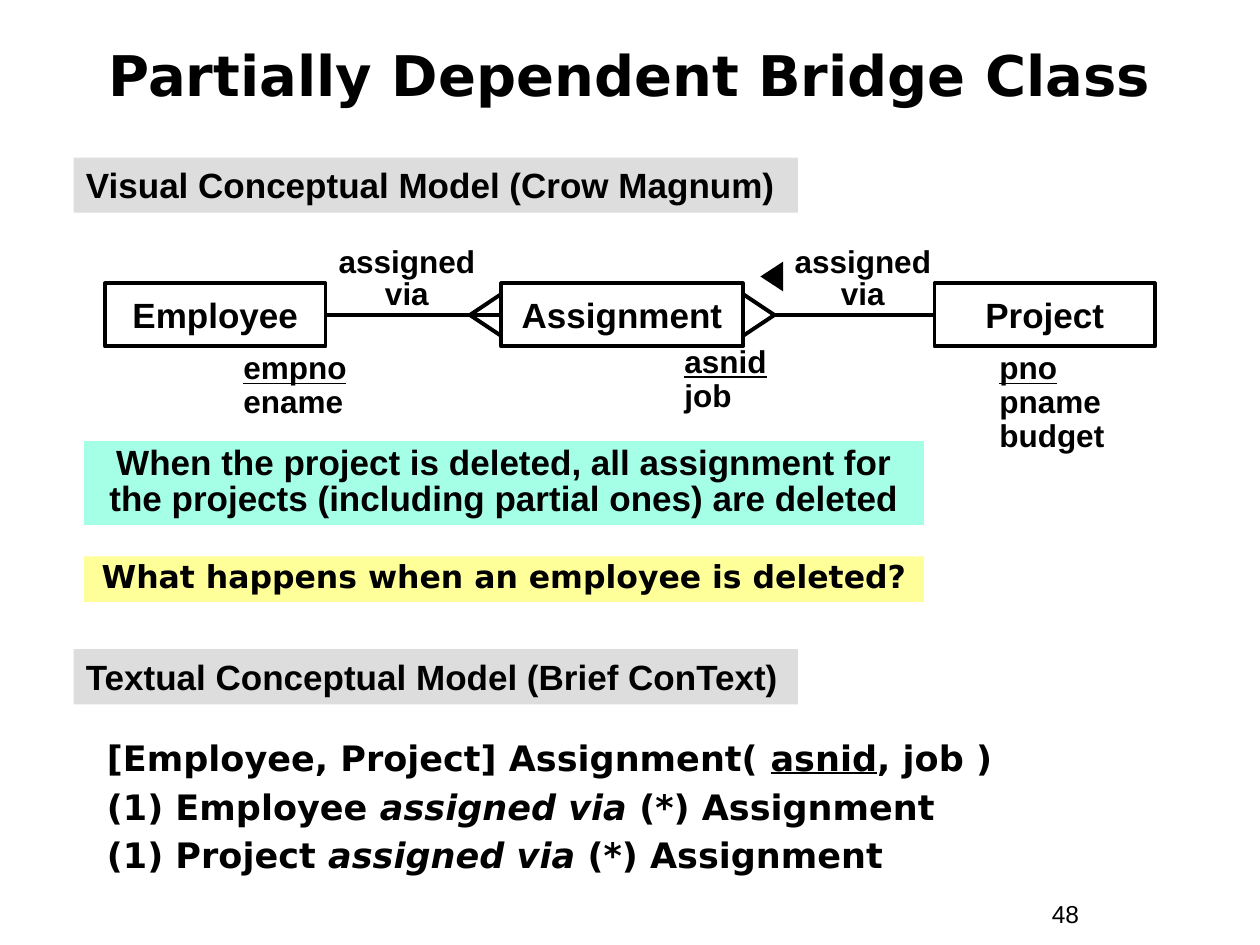
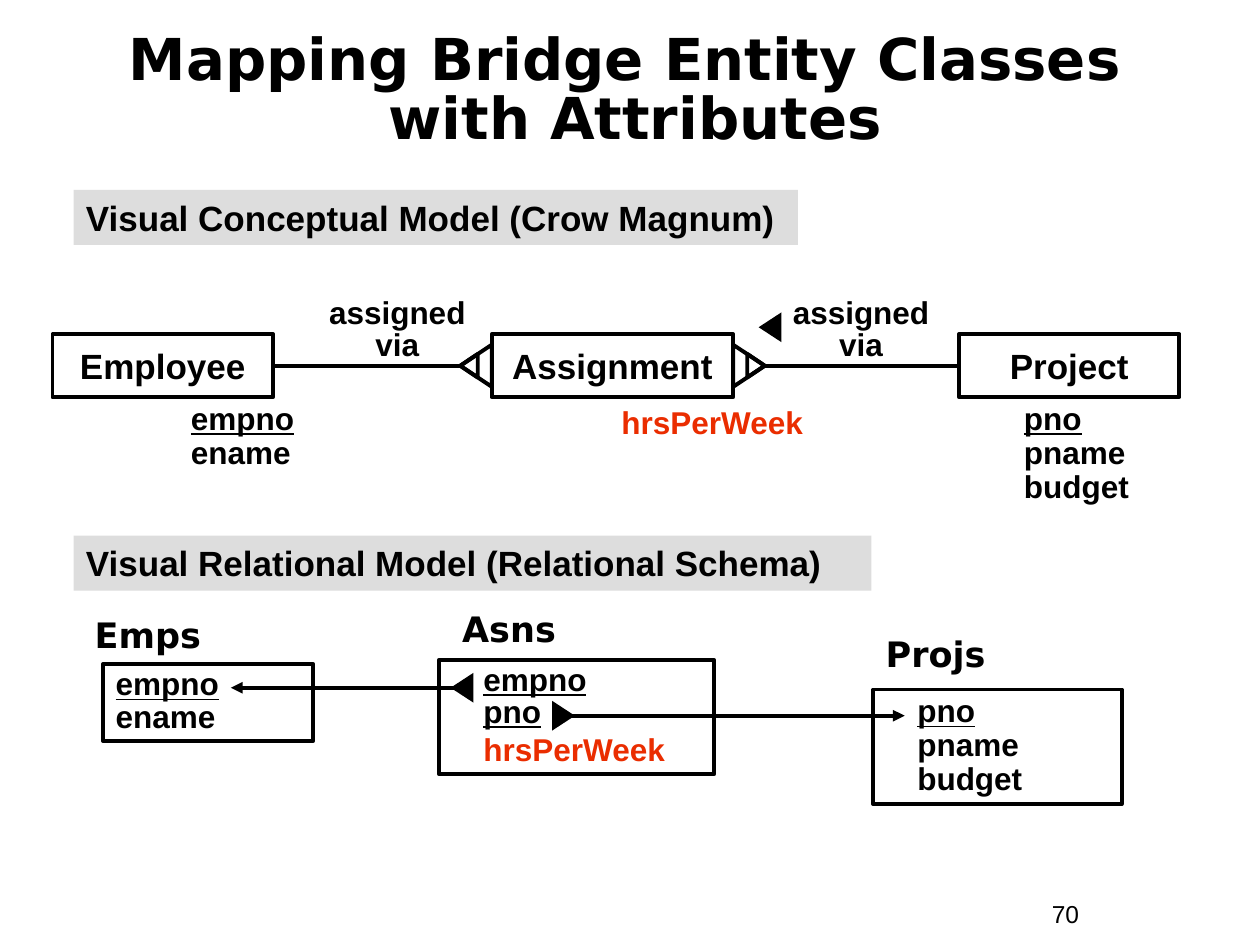
from dataclasses import dataclass

from lxml.etree import SubElement
from pptx import Presentation
from pptx.dml.color import RGBColor
from pptx.enum.shapes import MSO_CONNECTOR as Link, MSO_SHAPE as Shape
from pptx.enum.text import MSO_ANCHOR as Anchor, PP_ALIGN as Align
from pptx.oxml.ns import qn
from pptx.util import Pt


@dataclass(frozen=True)
class Theme:
    ink: str = "000000"
    accent: str = "EA2D00"
    band: str = "DDDDDD"
    answer: str = "A5FFE7"
    question: str = "FFFF99"
    sans: str = "Arial"
    display: str = "DejaVu Sans"
    title: float = 32
    head: float = 20
    body: float = 18
    number: float = 14
    line: float = 2.25


T = Theme()
CLASS_W, BRIDGE_W = 126, 138
FOOT_DEPTH, FOOT_HALF = 18, 12


def fill_text(sp, paras, size=T.body, font=T.sans, color=T.ink, bold=True, align=Align.LEFT,
              anchor=Anchor.TOP, spacing=1.0, before=0, wrap=True, indent=0):
    tf = sp.text_frame
    tf.word_wrap = wrap
    tf.vertical_anchor = anchor
    tf.margin_left, tf.margin_right = Pt(7.2 + indent), Pt(7.2)
    tf.margin_top = tf.margin_bottom = Pt(3.6)
    for i, runs in enumerate(paras):
        p = tf.paragraphs[0] if i == 0 else tf.add_paragraph()
        p.alignment = align
        p.line_spacing = spacing
        if i and before:
            p.space_before = Pt(before)
        for run in [runs] if isinstance(runs, (str, tuple)) else runs:
            words, style = (run, "") if isinstance(run, str) else run
            for n, part in enumerate(words.split("\n")):
                if n:
                    p.add_line_break()
                r = p.add_run()
                r.text = part
                r.font.name, r.font.size, r.font.bold = font, Pt(size), bold
                r.font.italic, r.font.underline = style == "i", style == "u"
                r.font.color.rgb = RGBColor.from_string(T.accent if style == "accent" else color)
    return sp


def text(s, box, paras, **fmt):
    return fill_text(s.shapes.add_textbox(*map(Pt, box)), paras, **fmt)


def shape(s, kind, box, fill=None, line=None):
    sp = s.shapes.add_shape(kind, *map(Pt, box))
    sp.shadow.inherit = False
    if fill:
        sp.fill.solid()
        sp.fill.fore_color.rgb = RGBColor.from_string(fill)
    else:
        sp.fill.background()
    if line:
        sp.line.color.rgb = RGBColor.from_string(line)
        sp.line.width = Pt(T.line)
    else:
        sp.line.fill.background()
    return sp


def panel(s, box, paras, fill=None, line=None, **fmt):
    return fill_text(shape(s, Shape.RECTANGLE, box, fill, line), paras, **fmt)


def triangle(s, cx, cy, base, depth, side, **paint):
    box = cx - base / 2, cy - depth / 2, base, depth
    shape(s, Shape.ISOSCELES_TRIANGLE, box, **paint).rotation = side * 90


def link(s, x1, y1, x2, y2, arrow=False):
    c = s.shapes.add_connector(Link.STRAIGHT, *map(Pt, (x1, y1, x2, y2)))
    c.line.color.rgb = RGBColor.from_string(T.ink)
    c.line.width = Pt(T.line)
    props = c._element.spPr
    if arrow:
        SubElement(props.find(qn("a:ln")), qn("a:tailEnd"), type="triangle")
    SubElement(props, qn("a:effectLst"))


def open_foot(s, edge, y, side):
    toes = (-FOOT_HALF, 0, FOOT_HALF) if side < 0 else (-FOOT_HALF, FOOT_HALF)
    for toe in toes:
        link(s, edge + side * FOOT_DEPTH, y, edge, y + toe)


def nested_foot(s, edge, y, side):
    for base, depth in ((2 * FOOT_HALF, FOOT_DEPTH), (13.5, 10)):
        triangle(s, edge + side * (FOOT_DEPTH - depth / 2), y, base, depth, side, line=T.ink)


def heading(s, box, title, number, **fmt):
    text(s, box, [title], **{"size": T.title, "font": T.display, "align": Align.CENTER,
                             "anchor": Anchor.MIDDLE, **fmt})
    text(s, (594, 510, 66, 24), [number], size=T.number, bold=False)


def section(s, y, label, w=414):
    panel(s, (42, y, w, 31.5), [label], fill=T.band, size=T.head)


def class_model(s, box, gap, role_gap, foot):
    x, y, w, h = box
    mid, bottom = y + h / 2, y + h
    bridge = x + CLASS_W + gap
    bridge_end = bridge + BRIDGE_W
    project = x + w - CLASS_W
    for name, left, width in (("Employee", x, CLASS_W), ("Assignment", bridge, BRIDGE_W),
                              ("Project", project, CLASS_W)):
        panel(s, (left, y, width, h), [name], line=T.ink, size=T.head,
              align=Align.CENTER, anchor=Anchor.MIDDLE, wrap=False)
    for start, edge, side in ((x + CLASS_W, bridge, -1), (project, bridge_end, 1)):
        link(s, start, mid, edge + side * FOOT_DEPTH, mid)
        foot(s, edge, mid, side)
    role = bridge_end + role_gap
    for left in (bridge - 102, role):
        text(s, (left, y - 24, 96, 44), ["assigned via"], align=Align.CENTER, spacing=0.85)
    triangle(s, role - 4, y - 4, 17, 13, -1, fill=T.ink)
    text(s, (x + 72, bottom, 108, 46), [("empno", "u"), "ename"], spacing=0.9)
    text(s, (project + 30, bottom, 120, 66), [("pno", "u"), "pname", "budget"], spacing=0.9)
    return bridge, bottom


def relation(s, box, name, name_dx, name_dy, paras, **fmt):
    x, y, w, h = box
    text(s, (x + name_dx, y - name_dy, w, 32), [name], size=T.head, font=T.display)
    return panel(s, box, paras, line=T.ink, **fmt)


def foreign_key(s, start, end, y):
    side = 1 if end > start else -1
    triangle(s, start + side * 6, y, 17, 13, side, fill=T.ink)
    link(s, start, y, end, y, arrow=True)


def relational_schema(s, box):
    x, y, w, h = box
    relation(s, (x, y + 2.5, 120, 44), "Emps", -12, 32.5, [("empno\n", "u"), "ename"][:0] or
             [[("empno\n", "u"), "ename"]], spacing=0.85)
    asns = relation(s, (x + 192, y, 157, h), "Asns", 6, 33.5,
                    [("empno", "u"), ("pno", "u"), ("hrsPerWeek", "accent")],
                    spacing=0.85, indent=18)
    asns.text_frame.paragraphs[-1].line_spacing = 1.0
    relation(s, (x + w - 142, y + 17, 142, h), "Projs", 0, 36,
             [("pno", "u"), "pname", "budget"], spacing=0.9, indent=18)
    foreign_key(s, x + 211, x + 73, y + 16)
    foreign_key(s, x + 257, x + 458, y + 32)


def dependent_bridge(s):
    heading(s, (24, 9.5, 672, 66), "Partially Dependent Bridge Class", "48")
    section(s, 90, "Visual Conceptual Model (Crow Magnum)")
    bridge, bottom = class_model(s, (60, 162, 600, 36), 100.5, 20.5, open_foot)
    text(s, (bridge + 97.5, bottom - 3.5, 126, 46), [[("asnid\n", "u"), "job"]], spacing=0.9)
    note = {"align": Align.CENTER, "spacing": 0.85}
    panel(s, (48, 252, 480, 48),
          ["When the project is deleted, all assignment for "
           "the projects (including partial ones) are deleted"],
          fill=T.answer, size=T.head, **note)
    panel(s, (48, 318, 480, 26), ["What happens when an employee is deleted?"],
          fill=T.question, font=T.display, **note)
    section(s, 371, "Textual Conceptual Model (Brief ConText)")
    rules = [[f"(1) {name} ", ("assigned via", "i"), " (*) Assignment"]
             for name in ("Employee", "Project")]
    text(s, (54, 417.5, 588, 87),
         [["[Employee, Project] Assignment( ", ("asnid", "u"), ", job )"], *rules],
         size=T.head, font=T.display, before=3.7)


def bridge_mapping(s):
    heading(s, (24, 14, 678, 78), "Mapping Bridge Entity Classes \nwith Attributes", "70",
            size=T.title + 1, spacing=0.85)
    section(s, 108.5, "Visual Conceptual Model (Crow Magnum)")
    bridge, bottom = class_model(s, (30, 191, 644, 36), 125, 25, nested_foot)
    text(s, (bridge + 67, bottom + 2, 120, 27), ["hrsPerWeek"], color=T.accent, spacing=0.9)
    section(s, 306, "Visual Relational Model (Relational Schema)", w=456)
    relational_schema(s, (59, 377, 582, 65.5))


def main():
    prs = Presentation()
    prs.slide_width, prs.slide_height = Pt(720), Pt(540)
    for build in (dependent_bridge, bridge_mapping):
        build(prs.slides.add_slide(prs.slide_layouts[6]))
    prs.save("out.pptx")


if __name__ == "__main__":
    main()
